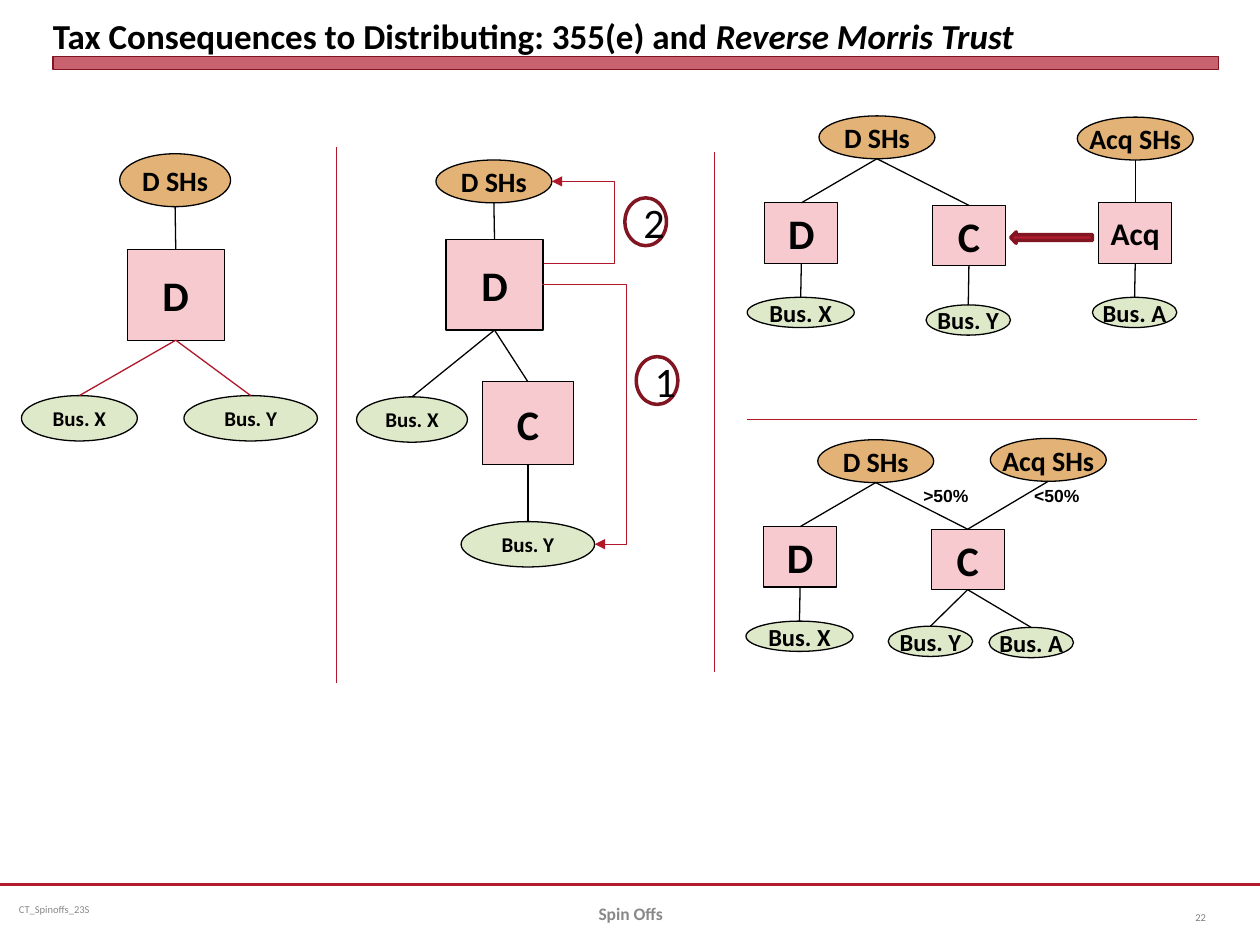
"""Build the slide on 355(e) and the Reverse Morris Trust."""
from dataclasses import dataclass

from lxml.etree import SubElement
from pptx import Presentation
from pptx.dml.color import RGBColor
from pptx.enum.shapes import MSO_CONNECTOR, MSO_SHAPE
from pptx.enum.text import MSO_ANCHOR, MSO_AUTO_SIZE, PP_ALIGN
from pptx.oxml.ns import qn
from pptx.util import Inches, Pt


@dataclass(frozen=True)
class Theme:
    font: str = "Calibri"
    label_font: str = "Arial"
    black: str = "000000"
    gray: str = "898989"
    page_gray: str = "808080"
    red: str = "B01C2E"
    line_red: str = "B0182A"
    dark_red: str = "821522"
    owner: str = "E3B276"
    company: str = "F7CAD0"
    business: str = "DEE9C9"
    title: int = 20
    big: int = 24
    acquirer: int = 18
    owner_size: int = 16
    leaf: int = 14
    small: int = 12
    label: int = 10
    tiny: int = 6
    thin: float = 0.75
    rule: float = 1.25
    thick: float = 2


T = Theme()


def rgb(color):
    return RGBColor.from_string(color)


def style(p, size, color=T.black, bold=False, font=T.font, align=PP_ALIGN.LEFT):
    p.alignment = align
    p.font.name, p.font.size, p.font.bold = font, Pt(size), bold
    p.font.color.rgb = rgb(color)


def add_shape(s, kind, box, fill, line, width):
    sp = s.shapes.add_shape(kind, *map(Inches, box))
    sp.shadow.inherit = False
    if fill:
        sp.fill.solid()
        sp.fill.fore_color.rgb = rgb(fill)
    else:
        sp.fill.background()
    sp.line.color.rgb = rgb(line)
    sp.line.width = Pt(width)
    return sp


def set_text(sp, text, size, bold=True, wrap=False):
    tf = sp.text_frame
    tf.word_wrap = wrap
    tf.vertical_anchor = MSO_ANCHOR.MIDDLE
    p = tf.paragraphs[0]
    p.text = text
    style(p, size, bold=bold, align=PP_ALIGN.CENTER)
    return sp


def owner(s, text, x, y, w=0.92, h=0.34):
    sp = add_shape(s, MSO_SHAPE.OVAL, (x, y, w, h), T.owner, T.black, T.thin)
    return set_text(sp, text, T.owner_size)


def company(s, text, x, y, w=0.58, h=0.48, size=T.big):
    sp = add_shape(s, MSO_SHAPE.RECTANGLE, (x, y, w, h), T.company, T.black, T.thin)
    return set_text(sp, text, size)


def business(s, text, x, y, w=0.67, h=0.24, size=T.leaf):
    sp = add_shape(s, MSO_SHAPE.OVAL, (x, y, w, h), T.business, T.black, T.thin)
    return set_text(sp, text, size)


def step(s, number, x, y):
    sp = add_shape(s, MSO_SHAPE.OVAL, (x, y, 0.33, 0.38), None, T.dark_red, T.thick)
    set_text(sp, number, T.big, bold=False, wrap=True)


def add_line(s, ends, color=T.line_red, width=T.thin, kind=MSO_CONNECTOR.STRAIGHT):
    cx = s.shapes.add_connector(kind, *ends)
    cx.line.color.rgb = rgb(color)
    cx.line.width = Pt(width)
    SubElement(cx._element.spPr, qn("a:effectLst"))
    return cx


def rule(s, x1, y1, x2, y2, **kw):
    add_line(s, map(Inches, (x1, y1, x2, y2)), **kw)


def link(s, parent, *children, color=T.black):
    """Join the bottom of a parent to the top of each child."""
    x, y = parent.left + parent.width // 2, parent.top + parent.height
    for child in children:
        add_line(s, (x, y, child.left + child.width // 2, child.top), color)


def elbow(s, x1, y1, x2, y2, bend):
    """Draw an arrow that turns at the x position given by bend."""
    cx = add_line(s, map(Inches, (x1, y1, x2, y2)), kind=MSO_CONNECTOR.ELBOW)
    ratio = round((bend - x1) / (x2 - x1) * 100000)
    guides = cx._element.spPr.find(qn("a:prstGeom")).get_or_add_avLst()
    SubElement(guides, qn("a:gd"), name="adj1", fmla=f"val {ratio}")
    SubElement(cx.line._get_or_add_ln(), qn("a:tailEnd"), type="triangle")


def text_box(s, text, box, size, inset=None, wrap=True, anchor=MSO_ANCHOR.MIDDLE, **kw):
    tf = s.shapes.add_textbox(*map(Inches, box)).text_frame
    tf.word_wrap, tf.vertical_anchor = wrap, anchor
    if inset:
        tf.margin_left = tf.margin_right = Inches(inset)
    p = tf.paragraphs[0]
    p.text = text
    style(p, size, **kw)


def frame(s):
    """Add the title, its bar and the footer."""
    rule(s, 0, 7.02, 10, 7.02, color=T.red, width=T.rule)
    text_box(s, "CT_Spinoffs_23S", (0.08, 7.02, 2.58, 0.4), T.tiny, inset=0.07, color=T.gray)
    text_box(s, "Spin Offs", (3.42, 7.05, 3.17, 0.4), T.label,
             color=T.gray, bold=True, align=PP_ALIGN.CENTER)
    text_box(s, "22", (9.17, 7.08, 0.5, 0.4), T.tiny, color=T.page_gray, align=PP_ALIGN.RIGHT)
    bar = add_shape(s, MSO_SHAPE.RECTANGLE, (0.42, 0.45, 9.25, 0.1), T.red, T.dark_red, 0)
    color = bar._element.spPr.find(qn("a:solidFill"))[0]
    SubElement(color, qn("a:alpha"), val="69000")
    sp = s.shapes.title
    sp.left, sp.top, sp.width, sp.height = map(Inches, (0.42, 0.05, 9.25, 0.4))
    tf = sp.text_frame
    tf.auto_size, tf.vertical_anchor = MSO_AUTO_SIZE.NONE, MSO_ANCHOR.BOTTOM
    tf.margin_left = tf.margin_right = tf.margin_top = tf.margin_bottom = 0
    p = tf.paragraphs[0]
    p.add_run().text = "Tax Consequences to Distributing: 355(e) and "
    r = p.add_run()
    r.text, r.font.italic = "Reverse Morris Trust", True
    style(p, T.title, bold=True)


def before(s):
    """Draw D holding both businesses."""
    holders = owner(s, "D SHs", 0.95, 1.22, 0.88, 0.42)
    d = company(s, "D", 1.01, 1.98, 0.77, 0.72)
    bus_x = business(s, "Bus. X", 0.17, 3.14, 0.92, 0.36, T.small)
    bus_y = business(s, "Bus. Y", 1.46, 3.14, 1.06, 0.36, T.small)
    link(s, holders, d)
    link(s, d, bus_x, bus_y, color=T.line_red)


def spin(s):
    """Draw the drop-down to C and the distribution of C."""
    holders = owner(s, "D SHs", 3.46, 1.27)
    d = company(s, "D", 3.54, 1.9, 0.77, 0.72)
    bus_x = business(s, "Bus. X", 2.83, 3.15, 0.88, 0.36, T.small)
    c = company(s, "C", 3.83, 3.03, 0.72, 0.66)
    bus_y = business(s, "Bus. Y", 3.66, 4.14, 1.06, 0.36, T.small)
    link(s, holders, d)
    link(s, d, bus_x, c)
    link(s, c, bus_y)
    elbow(s, 4.3, 2.26, 4.72, 4.32, bend=4.97)
    elbow(s, 4.32, 2.09, 4.38, 1.44, bend=4.88)
    step(s, "1", 5.05, 2.83)
    step(s, "2", 4.96, 1.57)


def separated(s, x, y):
    """Draw D and C side by side under the D shareholders and return C."""
    holders = owner(s, "D SHs", x + 0.57, y)
    d = company(s, "D", x + 0.14, y + 0.69)
    c = company(s, "C", x + 1.47, y + 0.71)
    link(s, holders, d, c)
    link(s, d, business(s, "Bus. X", x, y + 1.44, 0.85))
    return c


def merger(s):
    """Draw Acq combining with C."""
    c = separated(s, 5.93, 0.92)
    link(s, c, business(s, "Bus. Y", 7.35, 2.42))
    acq = company(s, "Acq", 8.72, 1.61, size=T.acquirer)
    link(s, owner(s, "Acq SHs", 8.55, 0.93), acq)
    link(s, acq, business(s, "Bus. A", 8.67, 2.36))
    add_shape(s, MSO_SHAPE.LEFT_ARROW, (8.02, 1.84, 0.65, 0.09), T.red, T.dark_red, T.thick)


def after(s):
    """Draw C owned by both shareholder groups."""
    c = separated(s, 5.92, 3.49)
    link(s, owner(s, "Acq SHs", 7.86, 3.48), c)
    link(s, c, business(s, "Bus. Y", 7.05, 4.97), business(s, "Bus. A", 7.85, 4.98))
    for text, x in ((">50%", 7.23), ("<50%", 8.11)):
        text_box(s, text, (x, 3.8, 0.56, 0.27), T.label, wrap=False,
                 anchor=MSO_ANCHOR.TOP, bold=True, font=T.label_font)


def main():
    prs = Presentation()
    prs.slide_width, prs.slide_height = Inches(10), Inches(7.5)
    s = prs.slides.add_slide(prs.slide_layouts[5])
    frame(s)
    for ends in ((2.67, 1.17, 2.67, 5.42), (5.67, 1.21, 5.67, 5.33), (5.93, 3.33, 9.5, 3.33)):
        rule(s, *ends)
    for panel in (before, spin, merger, after):
        panel(s)
    prs.save("out.pptx")


if __name__ == "__main__":
    main()
